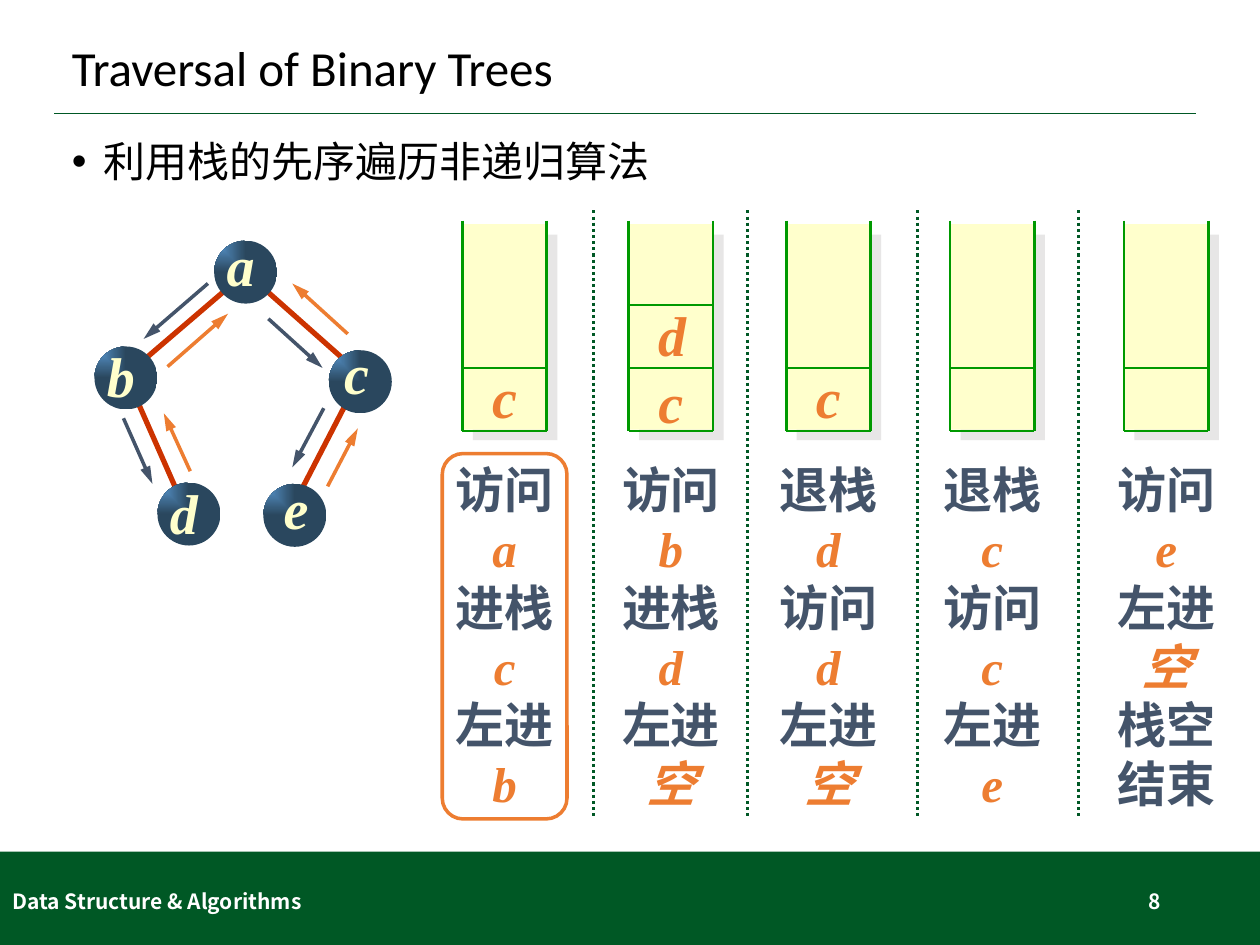
from lxml.etree import SubElement
from pptx import Presentation
from pptx.dml.color import RGBColor
from pptx.enum.dml import MSO_LINE
from pptx.enum.shapes import MSO_CONNECTOR, MSO_SHAPE
from pptx.enum.text import MSO_ANCHOR, PP_ALIGN
from pptx.oxml import parse_xml
from pptx.oxml.ns import nsdecls, qn
from pptx.util import Inches, Pt

COLORS = {
    "green": "005825", "wall": "009900", "cream": "FFFFCC", "edge": "CC3300",
    "slate": "44546A", "orange": "ED7D31", "shade": "E7E6E6", "black": "000000",
    "white": "FFFFFF", "glow": "5B9BD5", "navy": "2A475E",
}
SERIF, SANS, NOTO = "Times New Roman", "Calibri", "Noto Sans CJK SC"

TITLE = "Traversal of Binary Trees"
TOPIC = "利用栈的先序遍历非递归算法"
FOOTER, NUMBER = "Data Structure & Algorithms", "8"

# left edge, number of cell lines, letters from top to bottom, steps
STACKS = [
    (3.67, 1, ["c"], ["访问", "a", "进栈", "c", "左进", "b"]),
    (4.99, 2, ["d", "c"], ["访问", "b", "进栈", "d", "左进", "空"]),
    (6.24, 1, ["c"], ["退栈", "d", "访问", "d", "左进", "空"]),
    (7.54, 1, [], ["退栈", "c", "访问", "c", "左进", "e"]),
    (8.92, 1, [], ["访问", "e", "左进", "空", "栈空", "结束"]),
]
DIVIDERS = [4.71, 5.93, 7.28, 8.56]

# letter: node left, top, then label left, top
NODES = {
    "a": (1.7, 1.91, 1.7, 1.78), "b": (0.75, 2.75, 0.75, 2.66),
    "c": (2.61, 2.78, 2.62, 2.64), "d": (1.25, 3.83, 1.25, 3.75),
    "e": (2.09, 3.84, 2.14, 3.71),
}
EDGES = [
    (2.81, 3.08, 2.36, 3.95), (1.08, 3.16, 1.41, 3.91),
    (2.05, 2.25, 2.76, 2.88), (1.85, 2.25, 1.08, 2.91),
]
DOWN = [
    (1.65, 2.25, 1.14, 2.69), (0.98, 3.32, 1.21, 3.84),
    (2.13, 2.53, 2.56, 2.92), (2.57, 3.24, 2.32, 3.71),
]
UP = [
    (1.51, 3.74, 1.3, 3.28), (1.33, 2.91, 1.81, 2.49),
    (2.6, 3.86, 2.84, 3.4), (2.76, 2.65, 2.32, 2.25),
]

WIDTH, TOP, FLOOR = 0.67, 1.75, 3.42
CELL = 0.5
STEP_TOP, STEP_W, STEP_H = 3.6, 0.99, 2.9

prs = Presentation()
prs.slide_width, prs.slide_height = Inches(10), Inches(7.5)
slide = prs.slides.add_slide(prs.slide_layouts[1])
shapes = slide.shapes


def rgb(name):
    return RGBColor.from_string(COLORS[name])


def place(shape, *box):
    shape.left, shape.top, shape.width, shape.height = map(Inches, box)


def style(para, size, face, color, bold=False, italic=False):
    font = para.font
    font.size, font.name, font.color.rgb = Pt(size), face, rgb(color)
    font.bold, font.italic = bold, italic


def line(x1, y1, x2, y2, color, width, arrow=False, dash=None):
    link = shapes.add_connector(MSO_CONNECTOR.STRAIGHT, *map(Inches, (x1, y1, x2, y2)))
    link.line.color.rgb, link.line.width = rgb(color), Pt(width)
    if dash:
        link.line.dash_style = dash
    if arrow:
        SubElement(link.line._get_or_add_ln(), qn("a:tailEnd"),
                   type="triangle", w="med", len="lg")
    SubElement(link._element.spPr, qn("a:effectLst"))


def block(kind, box, fill=None, edge=None):
    shape = shapes.add_shape(kind, *map(Inches, box))
    shape.shadow.inherit = False
    if fill:
        shape.fill.solid()
        shape.fill.fore_color.rgb = rgb(fill)
    else:
        shape.fill.background()
    if edge:
        shape.line.color.rgb, shape.line.width = rgb(edge), Pt(2)
    else:
        shape.line.fill.background()
    return shape


def text(box, lines, align=PP_ALIGN.CENTER, wrap=False):
    """Add a text box and return its paragraphs."""
    frame = shapes.add_textbox(*map(Inches, box)).text_frame
    frame.word_wrap, frame.vertical_anchor = wrap, MSO_ANCHOR.MIDDLE
    frame.text = "\n".join(lines)
    for para in frame.paragraphs:
        para.alignment = align
    return frame.paragraphs


def letters(box, lines, color):
    for para in text(box, lines):
        style(para, 32, SERIF, color, True, True)


def node(x, y):
    """Draw a ball lit from its top left."""
    ball = block(MSO_SHAPE.OVAL, (x, y, 0.5, 0.5), "navy")
    props = ball._element.spPr
    grad = parse_xml(
        f'<a:gradFill {nsdecls("a")} rotWithShape="1"><a:gsLst>'
        f'<a:gs pos="0"><a:srgbClr val="{COLORS["glow"]}"/></a:gs>'
        f'<a:gs pos="100000"><a:srgbClr val="{COLORS["navy"]}"/></a:gs></a:gsLst>'
        '<a:path path="rect"><a:fillToRect r="100000" b="100000"/></a:path>'
        '</a:gradFill>')
    props.replace(props.find(qn("a:solidFill")), grad)


def stack(x, cells, names, steps):
    body = block(MSO_SHAPE.RECTANGLE, (x, 1.78, WIDTH, 1.63), "cream")
    cast = SubElement(body._element.spPr.find(qn("a:effectLst")), qn("a:outerShdw"),
                      dist=str(Pt(8.5)), dir="2700000", algn="ctr", rotWithShape="0")
    SubElement(cast, qn("a:srgbClr"), val=COLORS["shade"])
    for side in (x, x + WIDTH):
        line(side, TOP, side, FLOOR, "wall", 1.5)
    for row in range(cells + 1):
        y = FLOOR - row * CELL
        line(x, y, x + WIDTH, y, "wall", 1.5)
    mid = x + WIDTH / 2
    if names:
        more = len(names) - 1
        letters((mid - 0.2, 2.83 - CELL * more, 0.4, 0.63 + 0.54 * more), names, "orange")
    for para in text((mid - STEP_W / 2, STEP_TOP, STEP_W, STEP_H), steps):
        value = len(para.text) == 1
        style(para, 28, SERIF, "orange" if value else "slate", True, value)
        para.line_spacing = Pt(33.6)


block(MSO_SHAPE.RECTANGLE, (0, 6.76, 10, 0.74), "green")
line(0.43, 0.9, 9.49, 0.9, "green", 1)

title, body = shapes.title, slide.placeholders[1]
place(title, 0.47, 0.23, 9.06, 0.66)
title.text_frame.text = TITLE
title.text_frame.vertical_anchor = MSO_ANCHOR.MIDDLE
head = title.text_frame.paragraphs[0]
head.alignment, head.line_spacing = PP_ALIGN.LEFT, 0.9
style(head, 28, SANS, "black")

place(body, 0.47, 1.07, 9.06, 5.54)
body.text_frame.text = TOPIC
topic = body.text_frame.paragraphs[0]
topic.line_spacing, topic.space_before = 0.9, Pt(0)
props = topic._p.get_or_add_pPr()
props.set("marL", str(Inches(0.25)))
props.set("indent", str(Inches(-0.25)))
SubElement(props, qn("a:buChar"), char="•")
style(topic, 24, SANS, "black")

for box, words, align in [
    ((0, 6.95, 3.38, 0.4), FOOTER, PP_ALIGN.LEFT),
    ((7.06, 6.95, 2.25, 0.4), NUMBER, PP_ALIGN.RIGHT),
]:
    style(text(box, [words], align, True)[0], 12, NOTO, "white", True)

for ends in EDGES:
    line(*ends, "edge", 3)
for name, (x, y, left, top) in NODES.items():
    node(x, y)
    letters((left, top, 0.42, 0.63), [name], "cream")
for color, arrows in (("slate", DOWN), ("orange", UP)):
    for ends in arrows:
        line(*ends, color, 2, arrow=True)

for item in STACKS:
    stack(*item)
block(MSO_SHAPE.ROUNDED_RECTANGLE, (3.51, STEP_TOP, STEP_W, STEP_H), edge="orange")
for x in DIVIDERS:
    line(x, 1.67, x, 6.5, "green", 1.75, dash=MSO_LINE.ROUND_DOT)

prs.save("out.pptx")
